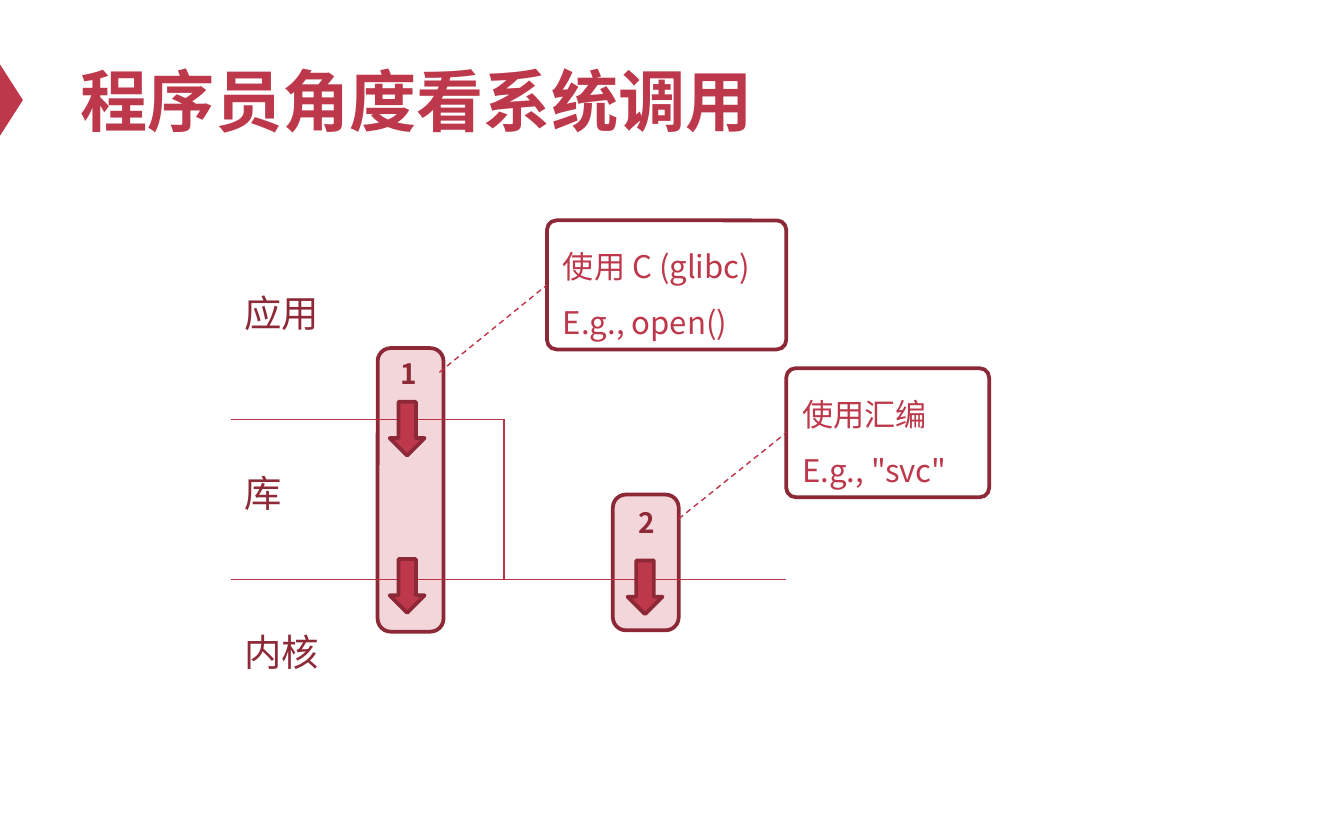
from lxml import etree
from pptx import Presentation
from pptx import util as u
from pptx.dml.color import RGBColor
from pptx.enum import dml, shapes, text
from pptx.oxml import ns

PX = 9144  # EMU per px, 100 px to the inch
RED = RGBColor(0xBE, 0x38, 0x4B)
LINE_RED = RGBColor(0xBD, 0x33, 0x47)
BORDER = RGBColor(0x8D, 0x29, 0x37)
DARK = RGBColor(0x8E, 0x2A, 0x38)
PINK = RGBColor(0xF3, 0xD6, 0xDA)
SANS = "Noto Sans CJK SC"
SHAPE = shapes.MSO_SHAPE

LEFT, LIB_TOP, KERNEL_TOP = 172, 312, 431


def px(*values):
    return [u.Emu(v * PX) for v in values]


def write(tf, lines, fmt, align=text.PP_ALIGN.LEFT, spacing=None):
    """Fill a text frame, one paragraph a line, with the same font format."""
    for i, line in enumerate(lines):
        p = tf.paragraphs[0] if i == 0 else tf.add_paragraph()
        p.alignment = align
        if spacing:
            p.line_spacing = spacing
        r = p.add_run()
        r.text = line
        color = fmt["color"]
        for name, value in fmt.items():
            if name != "color":
                setattr(r.font, name, value)
        r.font.color.rgb = color
        ea = etree.SubElement(r._r.get_or_add_rPr(), ns.qn("a:ea"))
        ea.set("typeface", SANS)


def add_title(s, title):
    sp = s.shapes.title
    sp.left, sp.top, sp.width, sp.height = px(50, 25, 900, 98)
    sp.text_frame.vertical_anchor = text.MSO_ANCHOR.MIDDLE
    write(sp.text_frame, [title],
          dict(name="Arial", size=u.Pt(36), bold=True, color=RED))


def add_shape(s, kind, box, fill=None, border=BORDER, adj=None):
    sp = s.shapes.add_shape(kind, *px(*box))
    sp.shadow.inherit = False
    if fill is None:
        sp.fill.background()
    else:
        sp.fill.solid()
        sp.fill.fore_color.rgb = fill
    if border is None:
        sp.line.fill.background()
    else:
        sp.line.color.rgb = border
        sp.line.width = u.Pt(2)
    if adj is not None:
        sp.adjustments[0] = adj
    return sp


def add_line(s, start, end, dashed=False):
    line = s.shapes.add_connector(shapes.MSO_CONNECTOR.STRAIGHT,
                                  *px(*start, *end))
    line.line.color.rgb = LINE_RED
    line.line.width = u.Pt(0.75)
    if dashed:
        line.line.dash_style = dml.MSO_LINE.DASH
    etree.SubElement(line._element.spPr, ns.qn("a:effectLst"))
    return line


def add_label(s, label, box, size, bold=False, align=text.PP_ALIGN.LEFT):
    tf = s.shapes.add_textbox(*px(*box)).text_frame
    tf.word_wrap = True
    write(tf, [label],
          dict(name=SANS, size=u.Pt(size), bold=bold, color=DARK), align)


def add_callout(s, lines, box, source):
    """Outlined note, tied by a dashed line to the call path it explains."""
    sp = add_shape(s, SHAPE.ROUNDED_RECTANGLE, box, adj=0.073)
    tf = sp.text_frame
    tf.word_wrap = True
    tf.vertical_anchor = text.MSO_ANCHOR.MIDDLE
    write(tf, lines, dict(name=SANS, size=u.Pt(16.7), color=RED), spacing=1.5)
    left, top, _, height = box
    leader = add_line(s, source, (left, top + height // 2), dashed=True)
    leader.end_connect(sp, 1)


def main():
    prs = Presentation()
    prs.slide_width, prs.slide_height = px(1000, 625)
    s = prs.slides.add_slide(prs.slide_layouts[5])

    marker = add_shape(s, SHAPE.ISOSCELES_TRIANGLE, (-18, 66, 53, 17),
                       RED, border=None)
    marker.rotation = 90
    add_title(s, "程序员角度看系统调用")

    for box in ((456, 368, 49, 101), (281, 259, 49, 211)):
        add_shape(s, SHAPE.ROUNDED_RECTANGLE, box, PINK, adj=0.199)

    add_line(s, (LEFT, KERNEL_TOP), (585, KERNEL_TOP))
    add_line(s, (LEFT, LIB_TOP), (375, LIB_TOP))
    add_line(s, (375, LIB_TOP), (375, KERNEL_TOP))

    for layer, top in (("应用", 211), ("库", 345), ("内核", 463)):
        add_label(s, layer, (LEFT, top, 177, 44), 20)

    for left, top in ((290, 299), (290, 416), (467, 417)):
        add_shape(s, SHAPE.DOWN_ARROW, (left, top, 26, 40), RED)

    for number, left, top in (("1", 281, 260), ("2", 458, 371)):
        add_label(s, number, (left, top, 46, 35), 15, True,
                  text.PP_ALIGN.CENTER)

    add_callout(s, ["使用 C (glibc)", "E.g., open()"],
                (407, 164, 178, 96), (327, 277))
    add_callout(s, ["使用汇编", 'E.g., "svc"'],
                (585, 274, 151, 96), (505, 386))

    prs.save("out.pptx")


if __name__ == "__main__":
    main()
